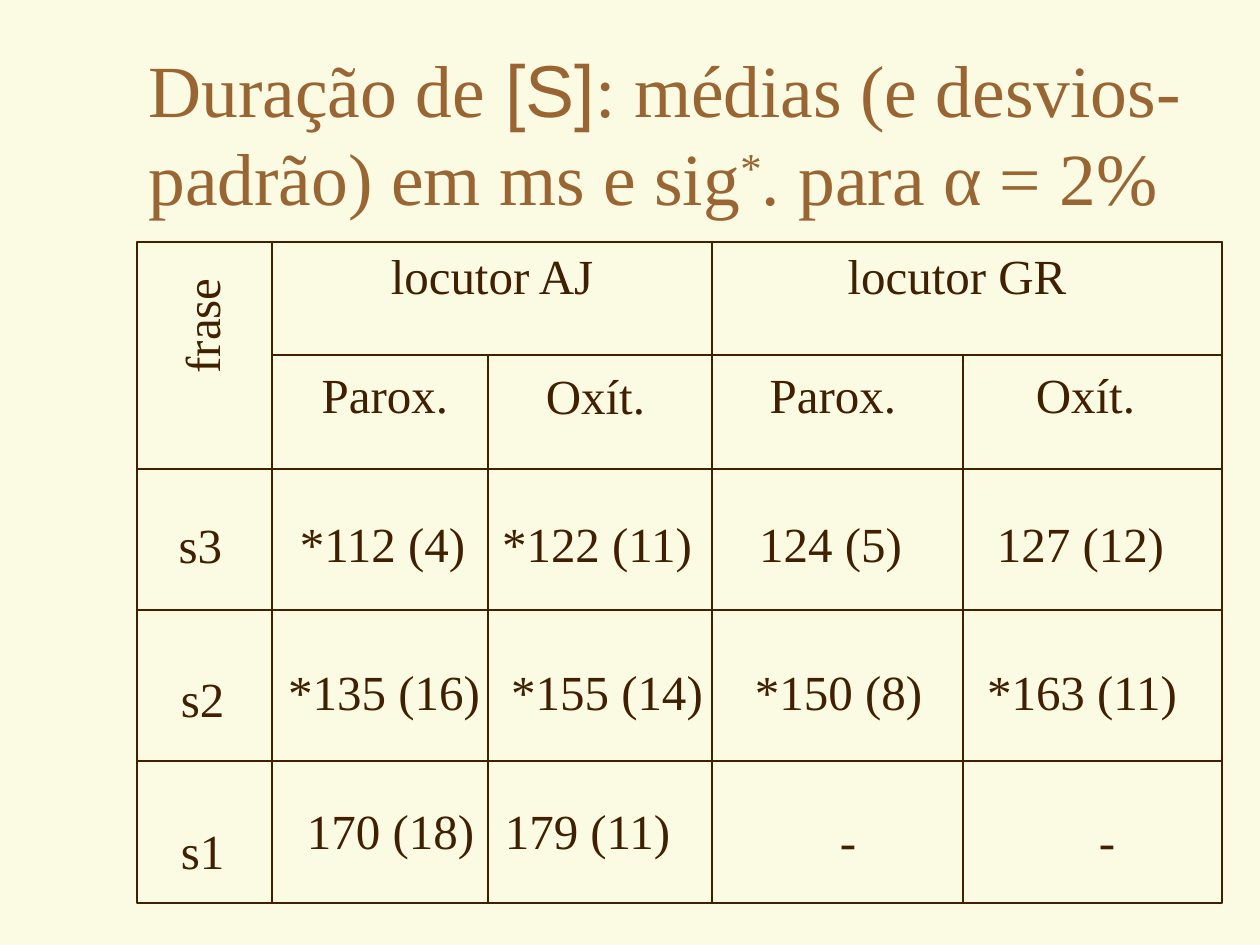
from typing import NamedTuple

from lxml.etree import SubElement
from pptx import Presentation
from pptx.dml.color import RGBColor
from pptx.enum.shapes import MSO_CONNECTOR as Connector, MSO_SHAPE as Shape
from pptx.enum.text import MSO_ANCHOR as Anchor, MSO_AUTO_SIZE as AutoSize, PP_ALIGN as Align
from pptx.oxml.ns import qn
from pptx.util import Emu, Pt

PX_PER_INCH = 126
COLORS = {"background": "FBFAE2", "ink": "402000", "title": "996633"}
SERIF, SANS = "Times New Roman", "Arial"
LABEL_HEIGHT = 72

LEFT, FRASE_RIGHT, AJ_SPLIT, SPEAKER_SPLIT, GR_SPLIT, RIGHT = 137, 272, 488, 712, 963, 1222
TOP, SPEAKER_BOTTOM, HEADER_BOTTOM, S3_BOTTOM, S2_BOTTOM, BOTTOM = 242, 355, 469, 610, 761, 903


class Box(NamedTuple):
    left: int
    top: int
    right: int
    bottom: int


class Label(NamedTuple):
    text: str
    left: int
    width: int
    drop: int = 0  # distance below the top of its row


class Row(NamedTuple):
    top: int
    labels: list[Label]


class TitlePart(NamedTuple):
    text: str
    font: str = SERIF
    raised: bool = False


FRAMES = [
    Box(LEFT, TOP, RIGHT, BOTTOM),
    Box(FRASE_RIGHT, TOP, RIGHT, SPEAKER_BOTTOM),
    Box(FRASE_RIGHT, SPEAKER_BOTTOM, RIGHT, HEADER_BOTTOM),
]
RULES = [
    Box(SPEAKER_SPLIT, TOP, SPEAKER_SPLIT, BOTTOM),
    Box(AJ_SPLIT, SPEAKER_BOTTOM, AJ_SPLIT, BOTTOM),
    Box(GR_SPLIT, SPEAKER_BOTTOM, GR_SPLIT, BOTTOM),
    Box(FRASE_RIGHT, HEADER_BOTTOM, FRASE_RIGHT, BOTTOM),
    Box(LEFT, HEADER_BOTTOM, 307, HEADER_BOTTOM),
    Box(LEFT, S3_BOTTOM, RIGHT, S3_BOTTOM),
    Box(LEFT, S2_BOTTOM, RIGHT, S2_BOTTOM),
]
ROWS = [
    Row(239, [Label("locutor AJ", 377, 230), Label("locutor GR", 835, 244)]),
    Row(358, [Label("Parox.", 309, 152), Label("Oxít.", 533, 125, 1),
              Label("Parox.", 757, 152), Label("Oxít.", 1023, 125)]),
    Row(507, [Label("s3", 166, 69, 1), Label("*112 (4)", 286, 193), Label("*122 (11)", 488, 218),
              Label("124 (5)", 746, 169), Label("127 (12)", 984, 193)]),
    Row(655, [Label("s2", 168, 69, 7), Label("*135 (16)", 275, 218), Label("*155 (14)", 498, 218),
              Label("*150 (8)", 742, 193), Label("*163 (11)", 973, 218)]),
    Row(794, [Label("s1", 168, 69, 20), Label("170 (18)", 294, 193), Label("179 (11)", 491, 193),
              Label("-", 827, 42, 10), Label("-", 1086, 42, 10)]),
]
FRASE_TOP, FRASE = 290, Label("frase", 103, 195)
TITLE = [
    TitlePart("Duração de"),
    TitlePart(" [S]", SANS),
    TitlePart(": médias (e desvios-padrão) em ms e sig"),
    TitlePart("*", raised=True),
    TitlePart(". para α = 2%"),
]


def px(length: int) -> Emu:
    return Emu(round(length * 914400 / PX_PER_INCH))


def color(role: str) -> RGBColor:
    return RGBColor.from_string(COLORS[role])


def draw_outline(line) -> None:
    line.color.rgb = color("ink")
    line.width = Pt(0.75)


def draw_frame(shapes, box: Box) -> None:
    frame = shapes.add_shape(Shape.RECTANGLE, px(box.left), px(box.top),
                             px(box.right - box.left), px(box.bottom - box.top))
    frame.shadow.inherit = False
    frame.fill.background()
    draw_outline(frame.line)


def draw_rule(shapes, box: Box) -> None:
    rule = shapes.add_connector(Connector.STRAIGHT, *(px(edge) for edge in box))
    draw_outline(rule.line)
    SubElement(rule._element.spPr, qn("a:effectLst"))


def draw_label(shapes, label: Label, row_top: int, rotation: int = 0) -> None:
    cell = shapes.add_textbox(px(label.left), px(row_top + label.drop),
                              px(label.width), px(LABEL_HEIGHT))
    cell.rotation = rotation
    frame = cell.text_frame
    frame.word_wrap = rotation != 0
    frame.auto_size = AutoSize.SHAPE_TO_FIT_TEXT
    frame.vertical_anchor = Anchor.MIDDLE
    paragraph = frame.paragraphs[0]
    paragraph.text = label.text
    paragraph.alignment = Align.CENTER
    font = paragraph.font
    font.name, font.size, font.color.rgb = SERIF, Pt(28), color("ink")
    set_relative_space_before(paragraph, 50)


def set_relative_space_before(paragraph, percent: int) -> None:
    """Set the space before as a share of the line, which has no public setter."""
    paragraph.space_before = Pt(0)
    spacing = paragraph._p.pPr.find(qn("a:spcBef"))
    spacing.remove(spacing[0])
    SubElement(spacing, qn("a:spcPct")).set("val", str(percent * 1000))


def draw_title(shapes) -> None:
    frame = shapes.add_textbox(px(136), px(53), px(1071), px(158)).text_frame
    frame.word_wrap = True
    frame.vertical_anchor = Anchor.MIDDLE
    paragraph = frame.paragraphs[0]
    paragraph.font.size = Pt(42)
    paragraph.font.color.rgb = color("title")
    for part in TITLE:
        run = paragraph.add_run()
        run.text = part.text
        run.font.name = part.font
        if part.raised:
            run._r.get_or_add_rPr().set("baseline", "30000")


def main() -> None:
    presentation = Presentation()
    presentation.slide_width, presentation.slide_height = px(1260), px(945)
    slide = presentation.slides.add_slide(presentation.slide_layouts[6])
    slide.background.fill.solid()
    slide.background.fill.fore_color.rgb = color("background")

    grid = slide.shapes.add_group_shape().shapes
    for frame in FRAMES:
        draw_frame(grid, frame)
    for rule in RULES:
        draw_rule(grid, rule)
    for row in ROWS:
        for label in row.labels:
            draw_label(slide.shapes, label, row.top)
    draw_label(slide.shapes, FRASE, FRASE_TOP, rotation=270)
    draw_title(slide.shapes)
    presentation.save("out.pptx")


if __name__ == "__main__":
    main()
